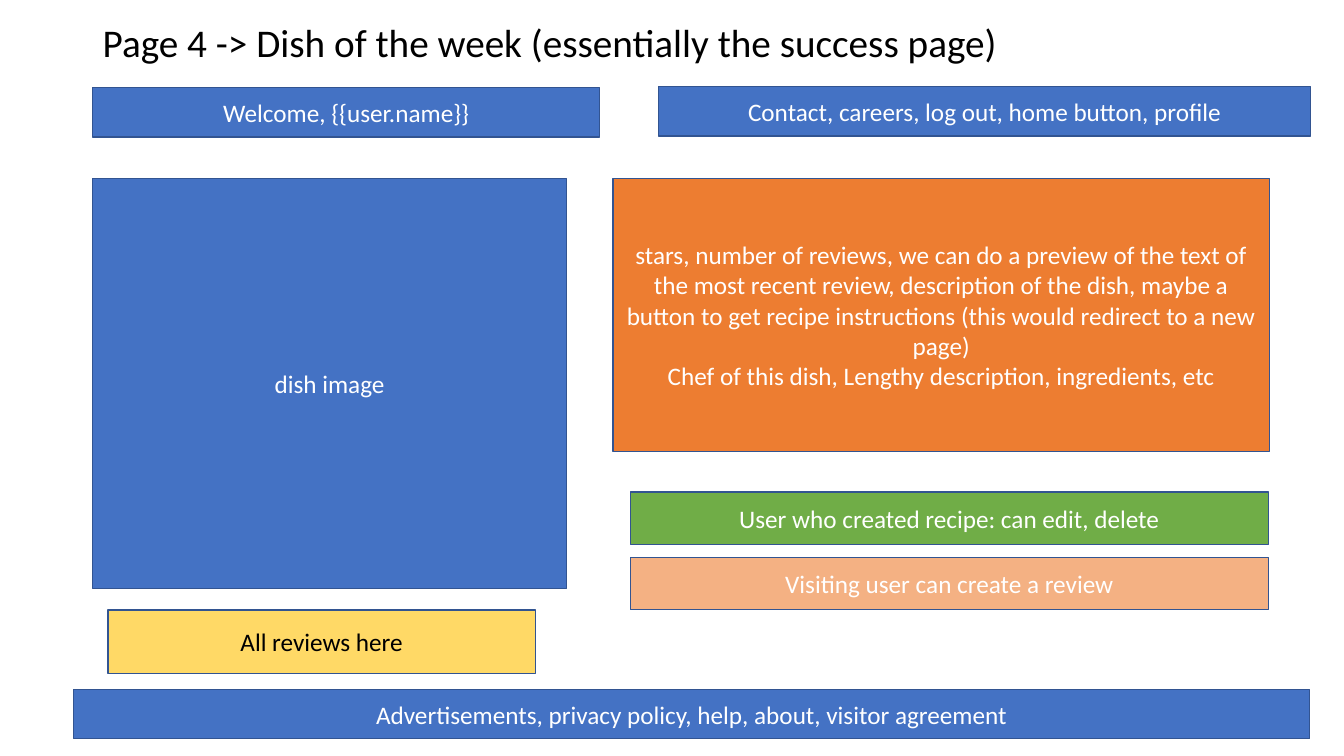
import pptx
import pptx.util
import pptx.dml.color
import pptx.enum.shapes
import pptx.enum.text

RGBColor = pptx.dml.color.RGBColor
BLUE = RGBColor(0x44, 0x72, 0xC4)
OUTLINE = RGBColor(0x32, 0x54, 0x91)
ORANGE = RGBColor(0xED, 0x7D, 0x31)
PEACH = RGBColor(0xF4, 0xB1, 0x83)
GREEN = RGBColor(0x70, 0xAD, 0x47)
YELLOW = RGBColor(0xFF, 0xD9, 0x66)
WHITE = RGBColor(0xFF, 0xFF, 0xFF)
BLACK = RGBColor(0, 0, 0)

FONT = "Calibri"
SLIDE_WIDTH = pptx.util.Inches(13.33)
SLIDE_HEIGHT = pptx.util.Inches(7.5)
COLUMN = SLIDE_WIDTH / 100
ROW = SLIDE_HEIGHT / 100

LEFT_MARGIN = 6.9
BAR_HEIGHT = 6.53
CONTENT_TOP = 23.6
ACTION_LEFT, ACTION_TOP = 46.89, 65.07
ACTION_WIDTH, ACTION_HEIGHT, ACTION_STEP = 47.49, 6.93, 8.67


def place(left, top, width, height):
    """Turn grid columns and rows into slide lengths."""
    return (round(left * COLUMN), round(top * ROW),
            round(width * COLUMN), round(height * ROW))


def write_text(shape, text, size, color, alignment):
    """Fill a shape with vertically centred, wrapped text."""
    text_frame = shape.text_frame
    text_frame.text = text
    text_frame.word_wrap = True
    text_frame.vertical_anchor = pptx.enum.text.MSO_ANCHOR.MIDDLE
    for paragraph in text_frame.paragraphs:
        paragraph.alignment = alignment
        for run in paragraph.runs:
            run.font.name = FONT
            run.font.size = pptx.util.Pt(size)
            run.font.color.rgb = color


def add_title(slide, text, *area):
    """Add the page heading."""
    title = slide.shapes.add_textbox(*place(*area))
    write_text(title, text, 28, BLACK, pptx.enum.text.PP_ALIGN.LEFT)
    title.text_frame.paragraphs[0].line_spacing = 0.9


def add_block(slide, text, fill, *area, color=WHITE):
    """Add an outlined wireframe block with a centred label."""
    block = slide.shapes.add_shape(
        pptx.enum.shapes.MSO_SHAPE.RECTANGLE, *place(*area))
    block.shadow.inherit = False
    block.fill.solid()
    block.fill.fore_color.rgb = fill
    block.line.color.rgb = OUTLINE
    block.line.width = pptx.util.Pt(1)
    write_text(block, text, 18, color, pptx.enum.text.PP_ALIGN.CENTER)


def add_actions(slide, actions):
    """Stack the user action blocks at equal steps."""
    for index, (text, fill) in enumerate(actions):
        add_block(slide, text, fill, ACTION_LEFT,
                  ACTION_TOP + index * ACTION_STEP, ACTION_WIDTH, ACTION_HEIGHT)


def main():
    """Build the dish of the week wireframe."""
    presentation = pptx.Presentation()
    presentation.slide_width = SLIDE_WIDTH
    presentation.slide_height = SLIDE_HEIGHT
    slide = presentation.slides.add_slide(presentation.slide_layouts[6])

    add_title(slide, "Page 4 -> Dish of the week (essentially the success page)",
              LEFT_MARGIN, 2.27, 86.27, 7.33)
    add_block(slide, "Welcome, {{user.name}}", BLUE,
              LEFT_MARGIN, 11.6, 37.73, BAR_HEIGHT)
    add_block(slide, "Contact, careers, log out, home button, profile", BLUE,
              48.99, 11.47, 48.54, BAR_HEIGHT)
    add_block(slide, "Advertisements, privacy policy, help, about, visitor agreement",
              BLUE, 5.48, 91.2, 91.97, BAR_HEIGHT)
    add_block(slide, "dish image", BLUE, LEFT_MARGIN, CONTENT_TOP, 35.26, 54.27)
    add_block(slide,
              "stars, number of reviews, we can do a preview of the text of the "
              "most recent review, description of the dish, maybe a button to get "
              "recipe instructions (this would redirect to a new page)\n"
              "Chef of this dish, Lengthy description, ingredients, etc",
              ORANGE, 45.61, CONTENT_TOP, 48.84, 36.13)
    add_actions(slide, [
        ("User who created recipe: can edit, delete", GREEN),
        ("Visiting user can create a review", PEACH),
    ])
    add_block(slide, "All reviews here", YELLOW,
              8.03, 80.67, 31.81, 8.4, color=BLACK)
    presentation.save("out.pptx")


main()
